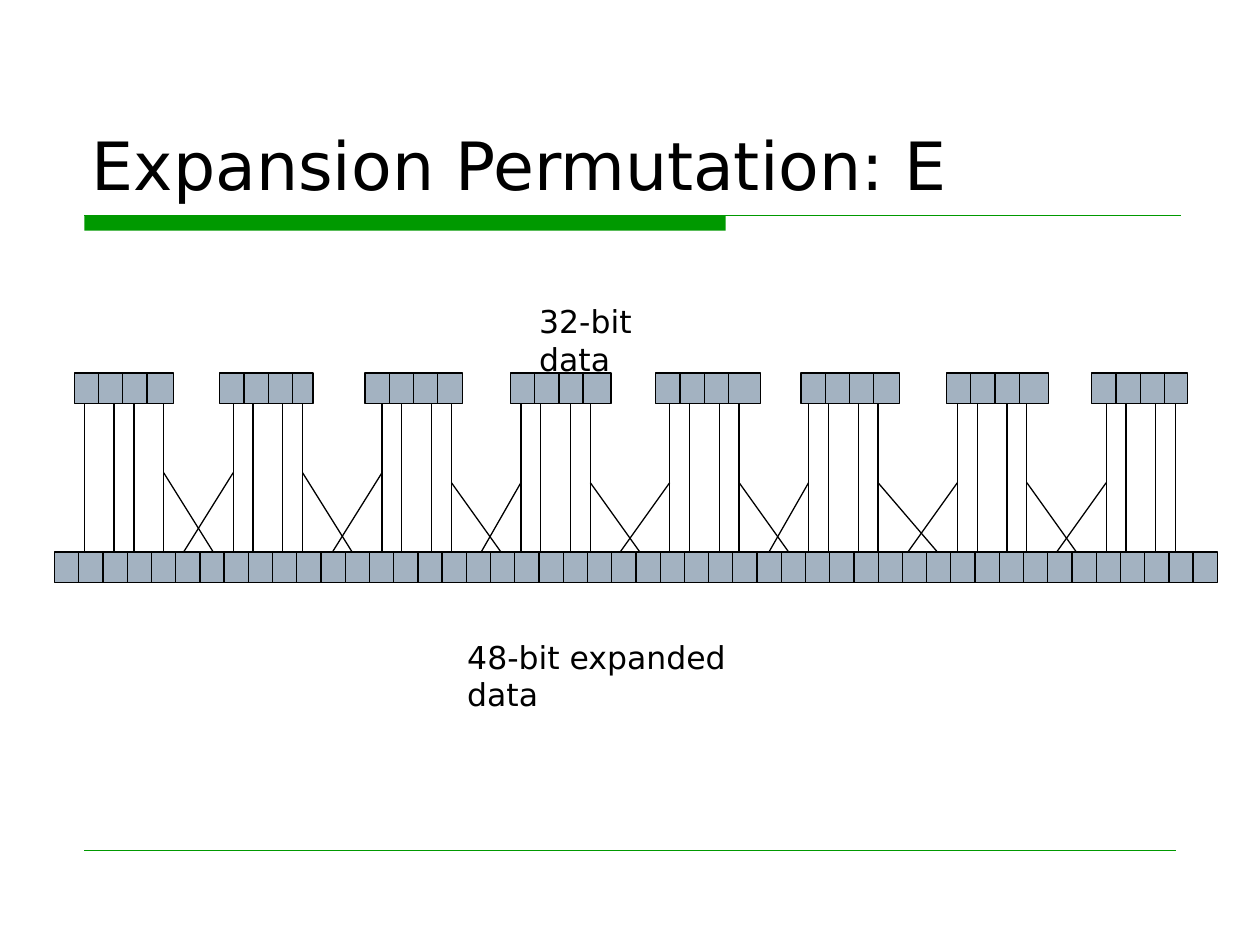
from lxml.etree import SubElement as Sub
from pptx import Presentation
from pptx.dml.color import RGBColor as RGB
from pptx.enum.shapes import MSO_CONNECTOR as Link, MSO_SHAPE as Kind
from pptx.enum.text import MSO_ANCHOR as Anchor, MSO_AUTO_SIZE as Fit, PP_ALIGN as Align
from pptx.oxml.ns import qn
from pptx.util import Cm, Pt

GREEN = RGB(0x00, 0x99, 0x00)
BLACK = RGB(0x00, 0x00, 0x00)
STEEL = RGB(0xA3, 0xB2, 0xC1)
FONT = "DejaVu Sans"

PITCH = 2.93
CELL = PITCH / 6
TALL = 0.61
IN_X, IN_Y = 1.5, 7.52
OUT_X, OUT_Y = 1.1, 11.13
WIDTHS = (2.0, 1.88, 1.96, 2.03, 2.11, 1.98, 2.06, 1.93)
STARTS = (4.7, 7.7, 10.5, 13.5, 16.3, 19.3, 22.3)
WIRES = [(1.7, 2.3, 2.7, 3.3)] + [
    tuple(x + step for step in (0, 0.4, 1, 1.4)) for x in STARTS
]
FORKS = (
    (1, 1, 9.53), (1, 1, 9.53), (1, 0.8, 9.73), (1, 1, 9.73),
    (1, 0.8, 9.73), (1.2, 1, 9.73), (1, 1, 9.73),
)


def add_line(shapes, x1, y1, x2, y2, color=BLACK, width=0.75):
    """Draw a plain straight line without a shadow."""
    line = shapes.add_connector(Link.STRAIGHT, Cm(x1), Cm(y1), Cm(x2), Cm(y2))
    line.line.color.rgb = color
    line.line.width = Pt(width)
    Sub(line._element.spPr, qn("a:effectLst"))


def add_box(shapes, x, y, width, tall, fill, edge=None):
    """Draw a filled rectangle, outlined if an edge colour is given."""
    box = shapes.add_shape(Kind.RECTANGLE, Cm(x), Cm(y), Cm(width), Cm(tall))
    box.shadow.inherit = False
    box.fill.solid()
    box.fill.fore_color.rgb = fill
    if edge is None:
        box.line.fill.background()
    else:
        box.line.color.rgb = edge
        box.line.width = Pt(0.75)


def add_block(shapes, x, y, width, count):
    """Draw a block of bits split into cells."""
    add_box(shapes, x, y, width, TALL, STEEL, BLACK)
    for i in range(1, count):
        add_line(shapes, x + i * CELL, y, x + i * CELL, y + TALL)


def set_text(frame, text, size):
    """Write one left-aligned run in the slide font."""
    frame.word_wrap = True
    para = frame.paragraphs[0]
    para.alignment = Align.LEFT
    run = para.add_run()
    run.text = text
    run.font.name = FONT
    run.font.size = Pt(size)
    run.font.color.rgb = BLACK


def add_title(slide, text):
    """Place the title with the green rule under it."""
    title = slide.shapes.title
    title.left, title.top = Cm(1.6), Cm(0.85)
    title.width, title.height = Cm(22.22), Cm(3.38)
    frame = title.text_frame
    frame.auto_size = Fit.NONE
    frame.vertical_anchor = Anchor.BOTTOM
    set_text(frame, text, 38)
    add_box(slide.shapes, 1.7, 4.34, 12.93, 0.31, GREEN)
    add_line(slide.shapes, 1.7, 4.34, 23.8, 4.34, GREEN)


def add_label(shapes, x, y, width, text):
    """Add a caption to the diagram."""
    frame = shapes.add_textbox(Cm(x), Cm(y), Cm(width), Cm(1.02)).text_frame
    frame.auto_size = Fit.SHAPE_TO_FIT_TEXT
    set_text(frame, text, 18)


def add_wires(shapes):
    """Join input bits to output bits, with the shared edge bits crossing."""
    for x in (x for wires in WIRES for x in wires):
        add_line(shapes, x, IN_Y + TALL, x, OUT_Y)
    for near, far, (right, left, y) in zip(WIRES, WIRES[1:], FORKS):
        add_line(shapes, near[-1] + right, OUT_Y, near[-1], y)
        add_line(shapes, far[0] - left, OUT_Y, far[0], y)


def main():
    """Build the slide and save it."""
    deck = Presentation()
    deck.slide_width, deck.slide_height = Cm(25.4), Cm(19.05)
    slide = deck.slides.add_slide(deck.slide_layouts[5])
    add_title(slide, "Expansion Permutation: E")
    add_line(slide.shapes, 1.7, 17.14, 23.7, 17.14, GREEN, 0.25)
    add_label(slide.shapes, 10.62, 5.97, 3.71, "32-bit data")
    add_label(slide.shapes, 9.17, 12.73, 6.86, "48-bit expanded data")
    group = slide.shapes.add_group_shape().shapes
    for i, width in enumerate(WIDTHS):
        add_block(group, OUT_X + i * PITCH, OUT_Y, PITCH, 6)
        add_block(group, IN_X + i * PITCH, IN_Y, width, 4)
    add_wires(group)
    deck.save("out.pptx")


if __name__ == "__main__":
    main()
